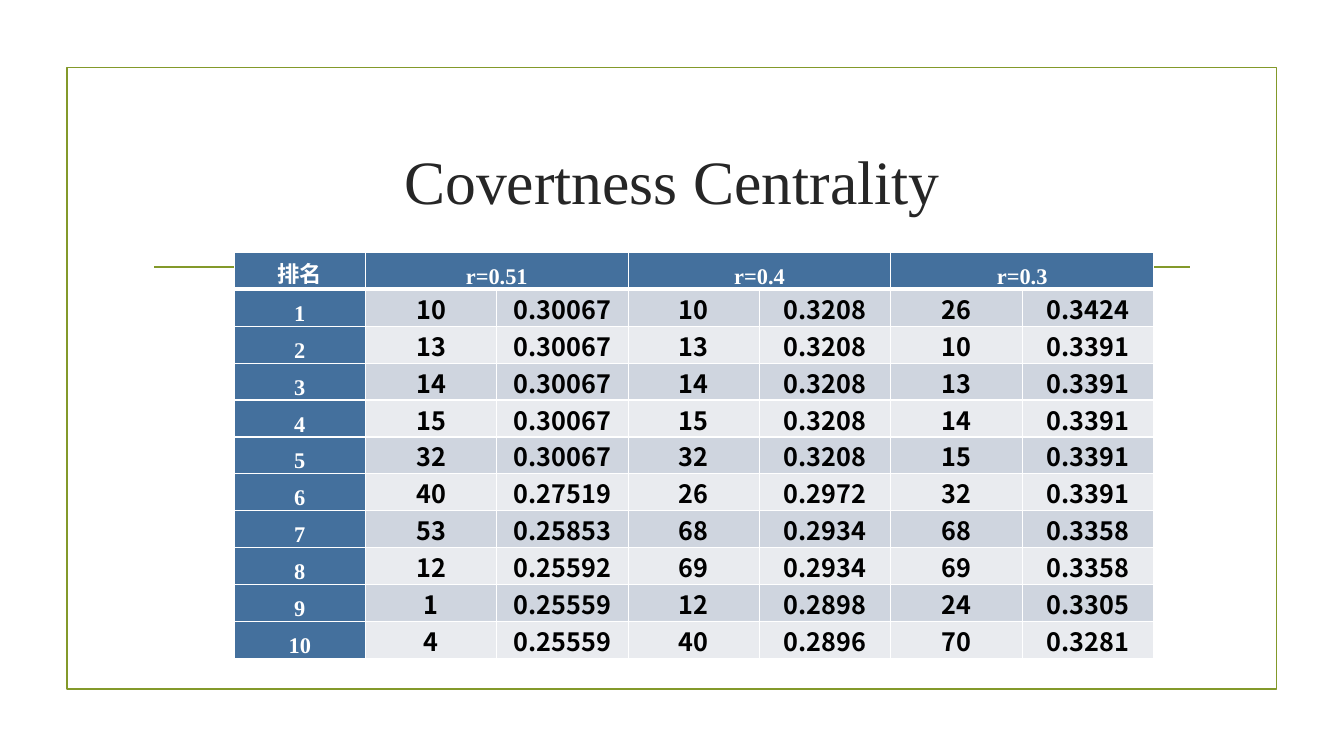
from dataclasses import dataclass

from lxml import etree
from pptx import Presentation
from pptx.dml.color import RGBColor
from pptx.enum.shapes import MSO_CONNECTOR, MSO_SHAPE
from pptx.enum.text import MSO_ANCHOR, PP_ALIGN
from pptx.oxml.ns import qn
from pptx.util import Cm, Pt

RECTANGLE = MSO_SHAPE.RECTANGLE
STRAIGHT = MSO_CONNECTOR.STRAIGHT
MIDDLE, BOTTOM = MSO_ANCHOR.MIDDLE, MSO_ANCHOR.BOTTOM
CENTER = PP_ALIGN.CENTER


@dataclass(frozen=True)
class Theme:
    olive: str = "83992A"
    title_ink: str = "262626"
    white: str = "FFFFFF"
    black: str = "000000"
    header_fill: str = "44709D"
    bands: tuple = ("CFD5DF", "E9EBEF")
    serif: str = "Times New Roman"
    sans: str = "Noto Sans CJK SC"
    title_size: int = 44
    label_size: int = 16
    value_size: int = 18
    rule_width: float = 1.25
    grid_width: int = 1
    header_rule_width: int = 3


THEME = Theme()

# Node and score for each radius, ranks 1 to 10
HEADINGS = ["r=0.51", "r=0.4", "r=0.3"]
RANKING = [
    ("10", "0.30067", "10", "0.3208", "26", "0.3424"),
    ("13", "0.30067", "13", "0.3208", "10", "0.3391"),
    ("14", "0.30067", "14", "0.3208", "13", "0.3391"),
    ("15", "0.30067", "15", "0.3208", "14", "0.3391"),
    ("32", "0.30067", "32", "0.3208", "15", "0.3391"),
    ("40", "0.27519", "26", "0.2972", "32", "0.3391"),
    ("53", "0.25853", "68", "0.2934", "68", "0.3358"),
    ("12", "0.25592", "69", "0.2934", "69", "0.3358"),
    ("1", "0.25559", "12", "0.2898", "24", "0.3305"),
    ("4", "0.25559", "40", "0.2896", "70", "0.3281"),
]


def write_text(frame, text, *, font, size, color, bold=False):
    para = frame.paragraphs[0]
    para.alignment = CENTER
    span = para.add_run()
    span.text = text
    span.font.name = font
    span.font.size = Pt(size)
    span.font.bold = bold
    span.font.color.rgb = RGBColor.from_string(color)


def style_line(line):
    line.color.rgb = RGBColor.from_string(THEME.olive)
    line.width = Pt(THEME.rule_width)


def add_frame(page, left, top, width, height):
    box = page.shapes.add_shape(RECTANGLE, Cm(left), Cm(top), Cm(width), Cm(height))
    box.shadow.inherit = False
    box.fill.background()
    style_line(box.line)


def add_rule(page, left, right, top):
    rule = page.shapes.add_connector(STRAIGHT, Cm(left), Cm(top), Cm(right), Cm(top))
    style_line(rule.line)
    etree.SubElement(rule._element.spPr, qn("a:effectLst"))


def add_title(page, text, left, top, width, height):
    box = page.shapes.add_textbox(Cm(left), Cm(top), Cm(width), Cm(height))
    box.text_frame.word_wrap = True
    box.text_frame.vertical_anchor = MIDDLE
    write_text(box.text_frame, text, font=THEME.serif,
               size=THEME.title_size, color=THEME.title_ink)


def set_borders(cell, **widths):
    properties = cell._tc.get_or_add_tcPr()
    for side in ("L", "R", "T", "B"):
        width = widths.get(side, THEME.grid_width)
        line = etree.SubElement(properties, qn(f"a:ln{side}"), w=str(Pt(width)))
        fill = etree.SubElement(line, qn("a:solidFill"))
        etree.SubElement(fill, qn("a:srgbClr"), val=THEME.white)


def style_cell(cell, fill, **widths):
    set_borders(cell, **widths)
    cell.fill.solid()
    cell.fill.fore_color.rgb = RGBColor.from_string(fill)
    cell.vertical_anchor = BOTTOM
    cell.margin_left = cell.margin_right = cell.margin_top = Cm(0.02)
    cell.margin_bottom = Cm(0)


def write_label(cell, text):
    write_text(cell.text_frame, text, font=THEME.serif, size=THEME.label_size,
               color=THEME.white, bold=True)


def add_ranking(page, left, top, column_width, row_height):
    rows, columns = len(RANKING) + 1, len(RANKING[0]) + 1
    table = page.shapes.add_table(rows, columns, Cm(left), Cm(top),
                                  Cm(column_width * columns),
                                  Cm(row_height * rows)).table
    for column in table.columns:
        column.width = Cm(column_width)
    for row in table.rows:
        row.height = Cm(row_height)

    # Header row: each radius spans a node and a score column
    for index in range(columns):
        style_cell(table.cell(0, index), THEME.header_fill, B=THEME.header_rule_width)
    write_label(table.cell(0, 0), "排名")
    for index, heading in enumerate(HEADINGS):
        start = 1 + 2 * index
        table.cell(0, start).merge(table.cell(0, start + 1))
        write_label(table.cell(0, start), heading)

    # Ranked rows in alternating bands
    for rank, values in enumerate(RANKING, 1):
        top_width = THEME.header_rule_width if rank == 1 else THEME.grid_width
        style_cell(table.cell(rank, 0), THEME.header_fill, T=top_width)
        write_label(table.cell(rank, 0), str(rank))
        for index, value in enumerate(values, 1):
            cell = table.cell(rank, index)
            style_cell(cell, THEME.bands[(rank - 1) % 2], T=top_width)
            write_text(cell.text_frame, value, font=THEME.sans,
                       size=THEME.value_size, color=THEME.black, bold=True)


def main():
    deck = Presentation()
    deck.slide_width, deck.slide_height = Cm(33.87), Cm(19.05)
    page = deck.slides.add_slide(deck.slide_layouts[6])

    # Page frame and title rule
    add_frame(page, 1.69, 1.7, 30.48, 15.67)
    add_rule(page, 3.89, 30, 6.73)

    # Title and table
    add_title(page, "Covertness Centrality", 3.61, 2.72, 26.67, 3.63)
    add_ranking(page, 5.9, 6.36, 3.31, 0.93)

    deck.save("out.pptx")


if __name__ == "__main__":
    main()
